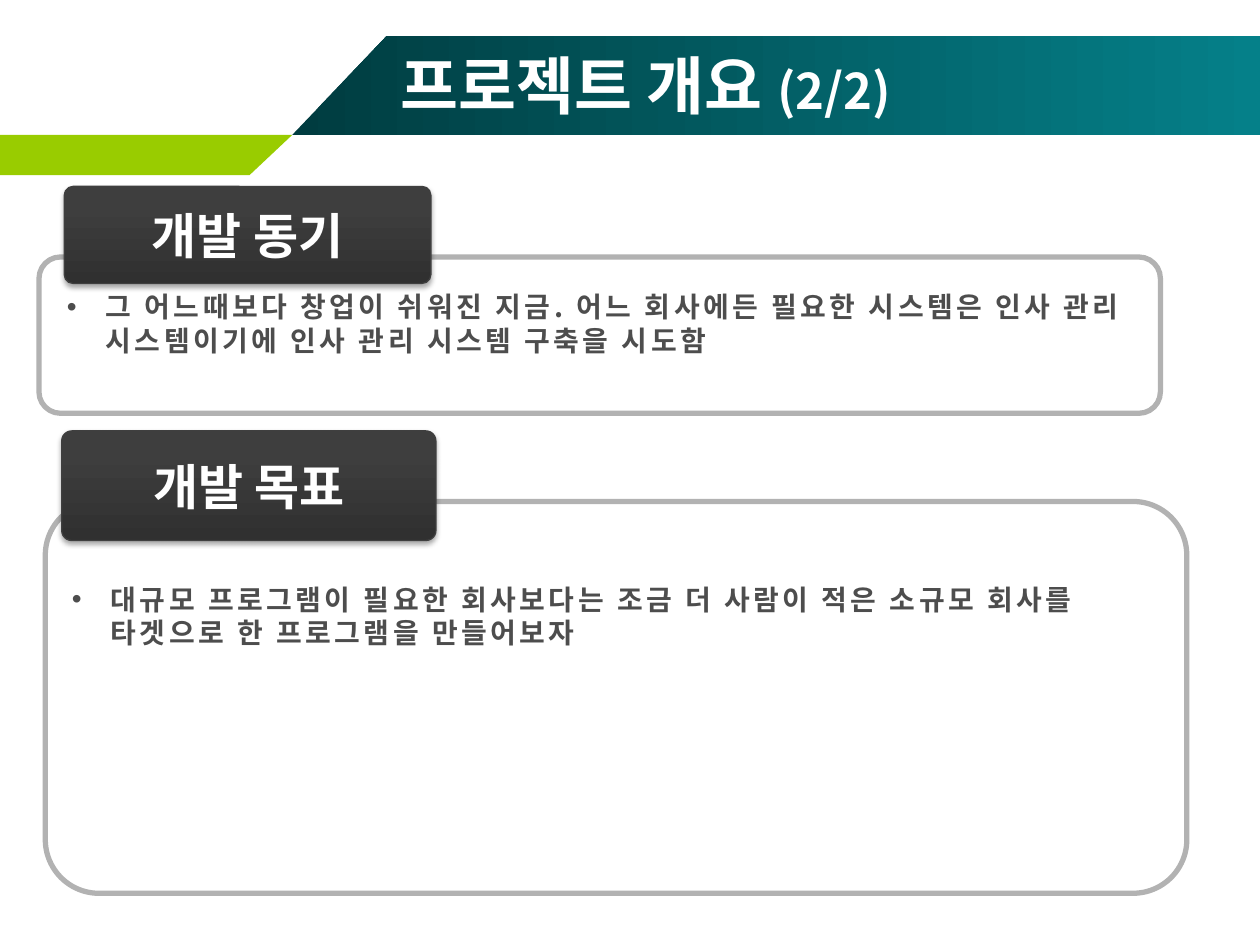
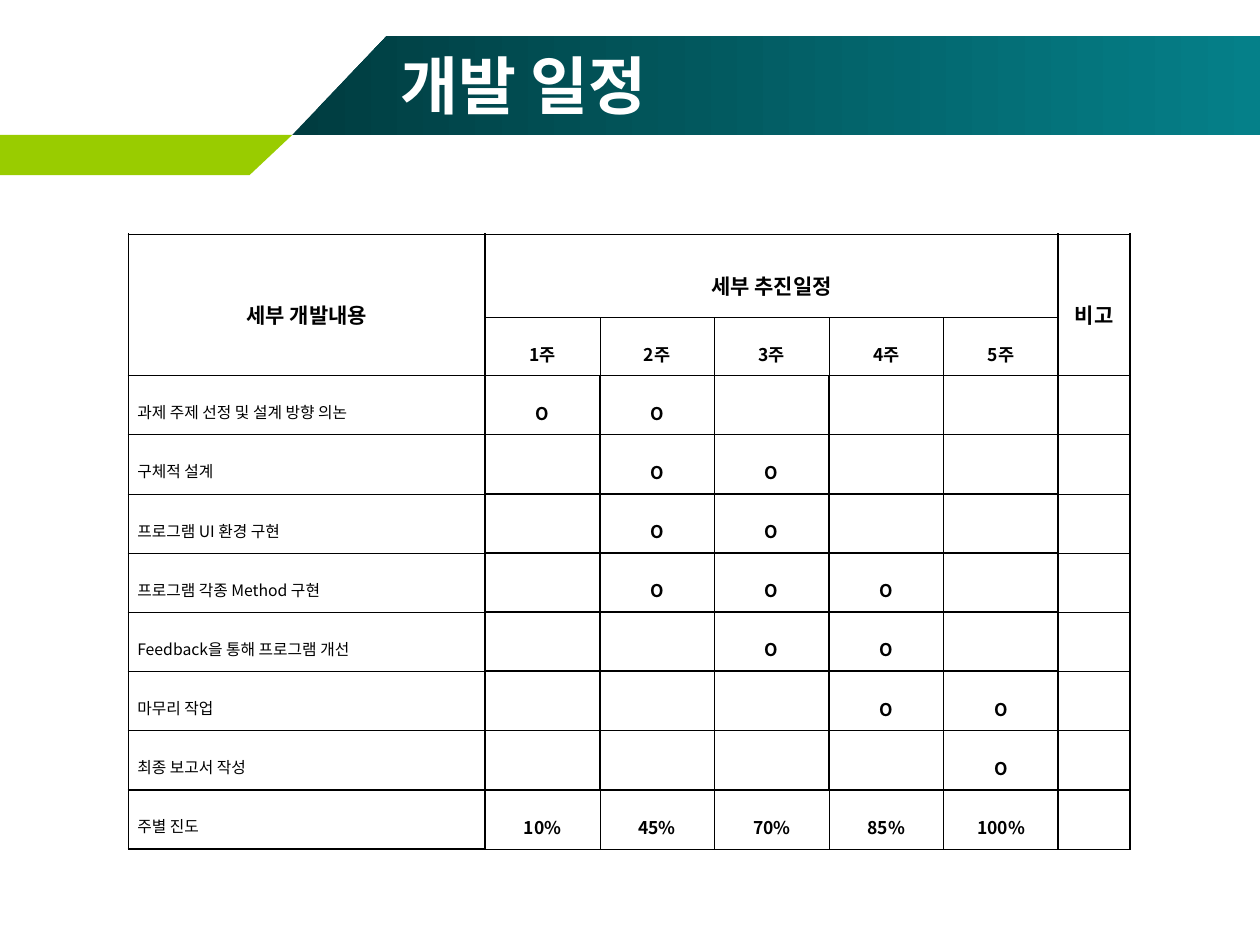
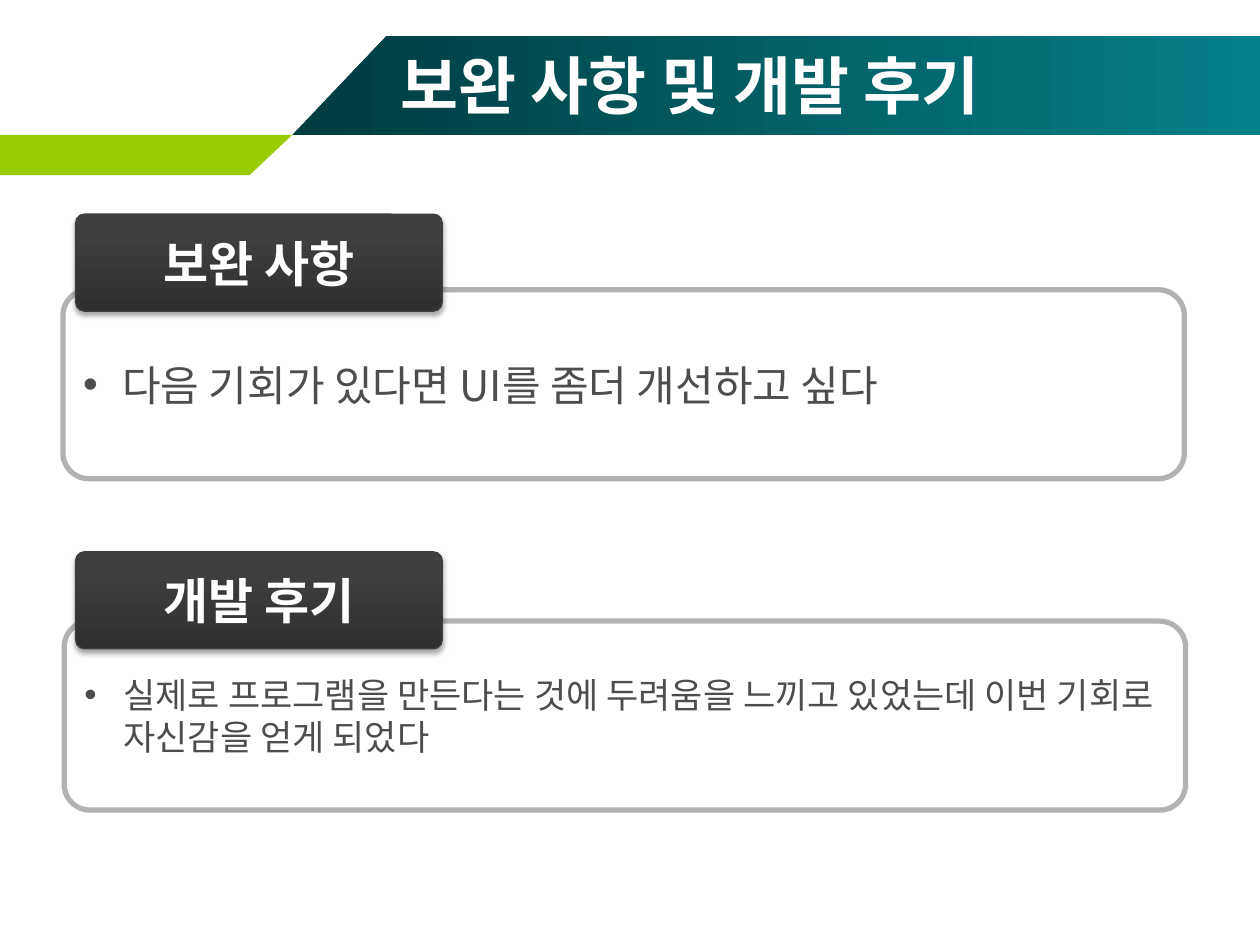
"""Builds the project slides: overview, schedule and review."""
from dataclasses import dataclass
from itertools import product
from typing import NamedTuple

from lxml import etree
from pptx import Presentation
from pptx import util as u
from pptx.dml import color
from pptx.enum import shapes, text
from pptx.oxml import ns

WIDTH, HEIGHT = u.Inches(10), u.Inches(7.5)
COLUMN, ROW = WIDTH // 100, HEIGHT // 75
FONT = "Noto Sans CJK KR"
COLORS = {
    "band_dark": "003C40", "band_light": "058089", "accent": "99CC00",
    "tab_dark": "303030", "tab_light": "3E3E3E", "tab_edge": "3F3F3F",
    "box_edge": "B2B2B2", "body": "4D4D4D", "white": "FFFFFF", "black": "000000",
}


class Area(NamedTuple):
    """A rectangle in grid columns and rows."""
    left: float
    top: float
    width: float
    height: float

    def emu(self) -> tuple[int, int, int, int]:
        """Return the rectangle in slide units."""
        return (round(self.left * COLUMN), round(self.top * ROW),
                round(self.width * COLUMN), round(self.height * ROW))


@dataclass(frozen=True)
class Style:
    """The look of a run of text."""
    size: float
    color: str
    bold: bool = False
    tracking: float = 0


@dataclass(frozen=True)
class Band:
    """A slanted band and its gradient or plain colours."""
    corners: tuple[tuple[float, float], ...]
    colors: tuple[str, ...]


@dataclass(frozen=True)
class Panel:
    """A framed list with a heading tab."""
    heading: str
    tab: Area
    frame: Area
    entry: str
    entry_area: Area
    style: Style
    anchor: text.MSO_ANCHOR = text.MSO_ANCHOR.MIDDLE


class Task(NamedTuple):
    """A schedule row and the weeks it takes."""
    label: str
    weeks: tuple[int, ...]


TITLE = Style(36, "white", True)
TITLE_PART = Style(28, "white", True)
HEADING = Style(28, "white", True)
GOAL = Style(16, "body", True, 2)
TITLE_AREA = Area(30.8, 3.6, 66.7, 6.2)
BANDS = (
    Band(((23.2, 10.7), (100, 10.7), (100, 2.85), (30.7, 2.85)), ("band_dark", "band_light")),
    Band(((0, 10.7), (23.2, 10.7), (19.8, 13.9), (0, 13.9)), ("accent",)),
)
OVERVIEW = (
    Panel("개발 목표", Area(4.9, 34.2, 29.7, 8.7), Area(3.6, 39.8, 90.6, 31.1),
          "대규모 프로그램이 필요한 회사보다는 조금 더 사람이 적은 소규모 회사를 타겟으로 한 프로그램을 만들어보자",
          Area(4.7, 45.7, 88.2, 6.4), GOAL, text.MSO_ANCHOR.TOP),
    Panel("개발 동기", Area(5.1, 14.8, 29.1, 7.7), Area(3.1, 20.4, 89, 12.4),
          "그 어느때보다 창업이 쉬워진 지금. 어느 회사에든 필요한 시스템은 인사 관리 시스템이기에 인사 관리 시스템 구축을 시도함",
          Area(4.3, 22.5, 86.6, 6.4), GOAL, text.MSO_ANCHOR.TOP),
)
REVIEW = (
    Panel("개발 후기", Area(6, 43.8, 29.1, 7.7), Area(5.1, 49.3, 89, 15),
          "실제로 프로그램을 만든다는 것에 두려움을 느끼고 있었는데 이번 기회로 자신감을 얻게 되었다",
          Area(5.7, 49.9, 87.8, 13.8), Style(20, "body")),
    Panel("보완 사항", Area(6, 17, 29.1, 7.7), Area(5, 23, 89, 15),
          "다음 기회가 있다면 UI를 좀더 개선하고 싶다",
          Area(5.6, 23.6, 87.8, 13.8), Style(24, "body")),
)
TASKS = (
    Task("과제 주제 선정 및 설계 방향 의논", (1, 2)),
    Task("구체적 설계", (2, 3)),
    Task("프로그램 UI 환경 구현", (2, 3)),
    Task("프로그램 각종 Method 구현", (2, 3, 4)),
    Task("Feedback을 통해 프로그램 개선", (3, 4)),
    Task("마무리 작업", (4, 5)),
    Task("최종 보고서 작성", (5,)),
)
WEEKS = range(1, 6)
PROGRESS = ("10%", "45%", "70%", "85%", "100%")
SCHEDULE_AREA = Area(10.2, 18.6, 79.5, 48.8)
SCHEDULE_COLUMNS = (28.3, *[9.1] * len(WEEKS), 5.7)
SCHEDULE_ROWS = (6.6, 4.6, *[4.7] * (len(TASKS) + 1))
NOTE = len(WEEKS) + 1
LAST = len(TASKS) + 2
THIN, THICK = 0.3, 1.1


def rgb(name: str) -> color.RGBColor:
    """Return a named colour."""
    return color.RGBColor.from_string(COLORS[name])


def add_child(parent, tag: str, **attributes):
    """Append an XML element with attributes."""
    return etree.SubElement(parent, ns.qn(tag), {key: str(value) for key, value in attributes.items()})


def add_run(paragraph, words: str, style: Style) -> None:
    """Append one formatted run."""
    run = paragraph.add_run()
    run.text = words
    run.font.size = u.Pt(style.size)
    run.font.bold = style.bold
    run.font.color.rgb = rgb(style.color)
    run.font.name = FONT
    properties = run._r.get_or_add_rPr()
    add_child(properties, "a:ea", typeface=FONT)
    if style.tracking:
        properties.set("spc", str(round(style.tracking * 100)))


def indent(paragraph, left: float, first: float = 0) -> None:
    """Set paragraph indents in grid columns."""
    properties = paragraph._p.get_or_add_pPr()
    properties.set("marL", str(round(left * COLUMN)))
    properties.set("indent", str(round(first * COLUMN)))


def place(shape, area: Area) -> None:
    """Move a shape onto an area."""
    shape.left, shape.top, shape.width, shape.height = area.emu()


def paint(shape, names: tuple[str, ...], angle: float = 0, end: float = 1) -> None:
    """Fill a shape with one colour or a two-stop gradient."""
    if len(names) == 1:
        shape.fill.solid()
        shape.fill.fore_color.rgb = rgb(names[0])
        return
    shape.fill.gradient()
    shape.fill.gradient_angle = angle
    for stop, name, position in zip(shape.fill.gradient_stops, names, (0, end)):
        stop.color.rgb = rgb(name)
        stop.position = position


def add_bands(slide, master) -> None:
    """Put the slanted bands behind everything on the master."""
    for order, band in enumerate(BANDS):
        points = [(round(x * COLUMN), round(y * ROW)) for x, y in band.corners]
        builder = slide.shapes.build_freeform(*points[0])
        builder.add_line_segments(points[1:], close=True)
        shape = builder.convert_to_shape()
        paint(shape, band.colors)
        shape.line.fill.background()
        shape.shadow.inherit = False
        shape.element.nvSpPr.cNvPr.set("id", str(100 + order))
        master.shapes.element.insert(2 + order, shape.element)


def set_title(slide, *parts: tuple[str, Style]) -> None:
    """Write the title in the band."""
    title = slide.shapes.title
    place(title, TITLE_AREA)
    frame = title.text_frame
    frame.auto_size = text.MSO_AUTO_SIZE.NONE
    frame.vertical_anchor = text.MSO_ANCHOR.MIDDLE
    paragraph = frame.paragraphs[0]
    paragraph.alignment = text.PP_ALIGN.LEFT
    for words, style in parts:
        add_run(paragraph, words, style)


def add_rounded(slide, area: Area, corner: float, edge: str, weight: float):
    """Add an outlined rounded rectangle."""
    shape = slide.shapes.add_shape(shapes.MSO_SHAPE.ROUNDED_RECTANGLE, *area.emu())
    shape.adjustments[0] = corner
    shape.line.color.rgb = rgb(edge)
    shape.line.width = u.Pt(weight)
    shape.shadow.inherit = False
    return shape


def add_frame(slide, area: Area) -> None:
    """Add the translucent frame of a panel."""
    frame = add_rounded(slide, area, 0.137, "box_edge", 3)
    paint(frame, ("white",))
    fill = frame.element.spPr.find(ns.qn("a:solidFill"))
    add_child(fill[0], "a:alpha", val=31000)


def add_tab(slide, heading: str, area: Area) -> None:
    """Add the dark heading tab with its soft shadow."""
    tab = add_rounded(slide, area, 0.091, "tab_edge", 0.75)
    paint(tab, ("tab_dark", "tab_light"), angle=90, end=0.8)
    effects = tab.element.spPr.find(ns.qn("a:effectLst"))
    shadow = add_child(effects, "a:outerShdw", blurRad=u.Pt(3.1), dist=u.Pt(1.8),
                       dir=90 * 60000, rotWithShape=0)
    shade = add_child(shadow, "a:srgbClr", val=COLORS["black"])
    add_child(shade, "a:alpha", val=35000)
    tab.text_frame.word_wrap = False
    tab.text_frame.vertical_anchor = text.MSO_ANCHOR.MIDDLE
    paragraph = tab.text_frame.paragraphs[0]
    paragraph.alignment = text.PP_ALIGN.CENTER
    add_run(paragraph, heading, HEADING)


def fill_list(slide, body, panel: Panel) -> None:
    """Write the bullet entry and bring it in front of its frame."""
    place(body, panel.entry_area)
    frame = body.text_frame
    frame.word_wrap = True
    frame.auto_size = text.MSO_AUTO_SIZE.NONE
    frame.vertical_anchor = panel.anchor
    paragraph = frame.paragraphs[0]
    paragraph.space_before = u.Pt(0)
    indent(paragraph, 3.1, -3.1)
    add_run(paragraph, panel.entry, panel.style)
    slide.shapes.element.append(body.element)


def add_panels(slide, panels: tuple[Panel, ...]) -> None:
    """Draw the panels, one for each body placeholder."""
    bodies = [holder for holder in slide.placeholders if holder.placeholder_format.idx]
    for body, panel in zip(bodies, panels):
        add_frame(slide, panel.frame)
        add_tab(slide, panel.heading, panel.tab)
        fill_list(slide, body, panel)


def horizontal_weight(line: int, column: int) -> float:
    """Return the weight of a horizontal grid line."""
    is_week = column in WEEKS
    thin = (line == 1 and is_week or line == LAST + 1 and column > 0
            or 2 < line < LAST and not is_week)
    return THIN if thin else THICK


def vertical_weight(line: int, row: int) -> float:
    """Return the weight of a vertical grid line."""
    return THIN if 1 < line < NOTE and row in (1, LAST) else THICK


def set_borders(cell, row: int, column: int) -> None:
    """Rule the four edges of a cell."""
    weights = {
        "a:lnL": vertical_weight(column, row), "a:lnR": vertical_weight(column + 1, row),
        "a:lnT": horizontal_weight(row, column), "a:lnB": horizontal_weight(row + 1, column),
    }
    properties = cell._tc.get_or_add_tcPr()
    for tag, weight in weights.items():
        line = add_child(properties, tag, w=u.Pt(weight))
        add_child(add_child(line, "a:solidFill"), "a:srgbClr", val=COLORS["black"])


def write_cell(cell, words: str, size: float, is_label: bool = False) -> None:
    """Write a schedule cell."""
    paragraph = cell.text_frame.paragraphs[0]
    paragraph.line_spacing = 1.6
    paragraph.alignment = text.PP_ALIGN.JUSTIFY if is_label else text.PP_ALIGN.CENTER
    if is_label:
        indent(paragraph, 0.5)
    add_run(paragraph, words, Style(size, "black", not is_label))


def add_schedule(slide) -> None:
    """Draw the weekly schedule table."""
    schedule = slide.shapes.add_table(
        len(SCHEDULE_ROWS), len(SCHEDULE_COLUMNS), *SCHEDULE_AREA.emu()).table
    schedule.first_row = schedule.horz_banding = False
    for column, width in zip(schedule.columns, SCHEDULE_COLUMNS):
        column.width = round(width * COLUMN)
    for row, height in zip(schedule.rows, SCHEDULE_ROWS):
        row.height = round(height * ROW)
    for row, column in product(range(len(SCHEDULE_ROWS)), range(len(SCHEDULE_COLUMNS))):
        cell = schedule.cell(row, column)
        set_borders(cell, row, column)
        cell.fill.background()
        cell.vertical_anchor = text.MSO_ANCHOR.MIDDLE
        cell.margin_left = cell.margin_right = round(0.2 * COLUMN)
        cell.margin_top = cell.margin_bottom = round(0.2 * ROW)

    for start, end, words in (((0, 0), (1, 0), "세부 개발내용"),
                              ((0, 1), (0, NOTE - 1), "세부 추진일정"),
                              ((0, NOTE), (1, NOTE), "비고")):
        schedule.cell(*start).merge(schedule.cell(*end))
        write_cell(schedule.cell(*start), words, 12)
    for week, progress in zip(WEEKS, PROGRESS):
        write_cell(schedule.cell(1, week), f"{week}주", 10)
        write_cell(schedule.cell(LAST, week), progress, 10)
    for row, task in enumerate(TASKS, 2):
        write_cell(schedule.cell(row, 0), task.label, 9, is_label=True)
        for week in task.weeks:
            write_cell(schedule.cell(row, week), "O", 10)
    write_cell(schedule.cell(LAST, 0), "주별 진도", 9, is_label=True)


def main() -> None:
    """Build and save the presentation."""
    prs = Presentation()
    prs.slide_width, prs.slide_height = WIDTH, HEIGHT
    two_lists = prs.slide_layouts.get_by_name("Two Content")
    title_only = prs.slide_layouts.get_by_name("Title Only")

    overview = prs.slides.add_slide(two_lists)
    add_bands(overview, prs.slide_master)
    set_title(overview, ("프로젝트 개요 ", TITLE), ("(2/2)", TITLE_PART))
    add_panels(overview, OVERVIEW)

    schedule = prs.slides.add_slide(title_only)
    set_title(schedule, ("개발 일정", TITLE))
    add_schedule(schedule)

    review = prs.slides.add_slide(two_lists)
    set_title(review, ("보완 사항 및 개발 후기", TITLE))
    add_panels(review, REVIEW)

    prs.save("out.pptx")


if __name__ == "__main__":
    main()
